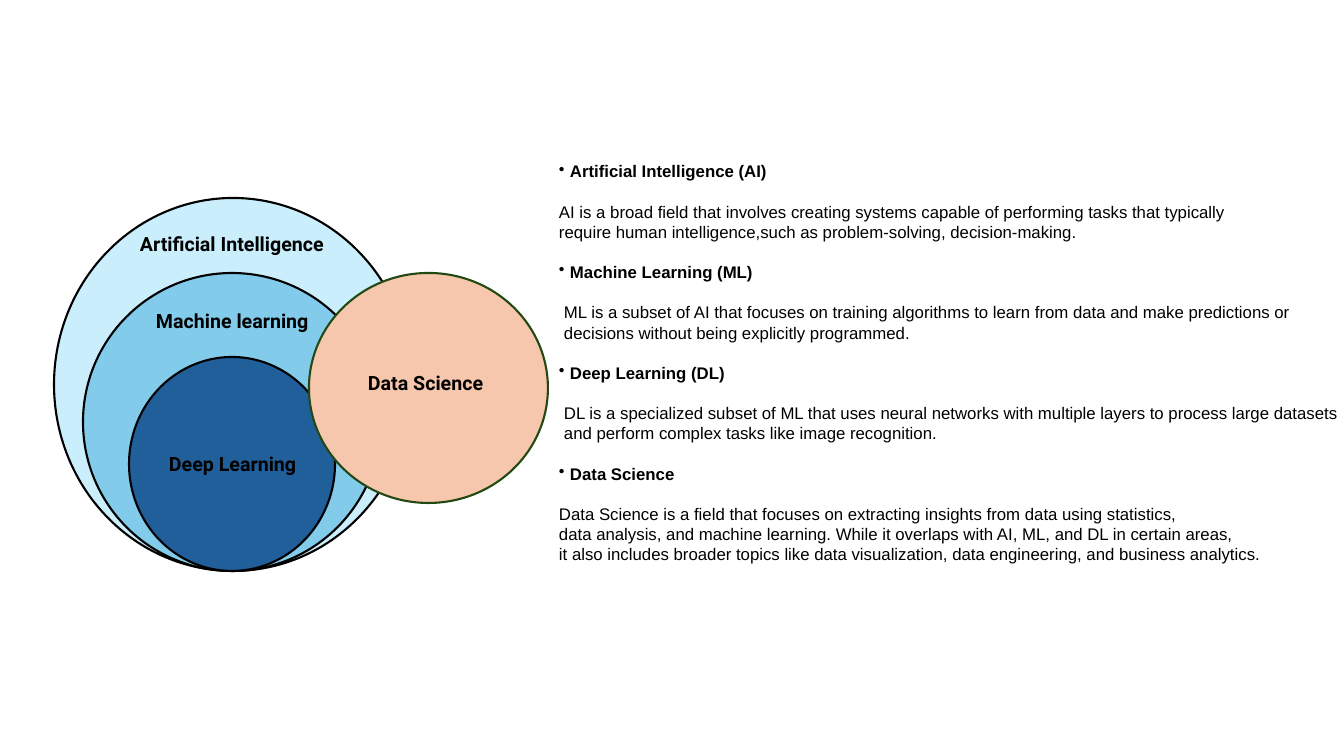
from dataclasses import dataclass

from lxml import etree
from pptx import Presentation, util as u
from pptx.dml.color import RGBColor
from pptx.enum import shapes, text
from pptx.oxml.ns import qn

EMU_PER_PX = 914400 / 100.8


def px(length):
    return u.Emu(round(length * EMU_PER_PX))


@dataclass(frozen=True)
class Theme:
    ink: str = "000000"
    ai: str = "CAEEFB"
    ml: str = "83CBEB"
    dl: str = "215F9A"
    data_science: str = "F6C6AD"
    data_science_edge: str = "224914"
    label_font: str = "Roboto"
    body_font: str = "Arial"
    label_size: float = 14
    body_size: float = 12
    line_pitch: float = 14.4
    outline: float = 1.5


def write(paragraph, content, *, font, size, color, bold=False):
    run = paragraph.add_run()
    run.text = content
    run.font.name = font
    run.font.size = u.Pt(size)
    run.font.bold = bold
    run.font.color.rgb = RGBColor.from_string(color)


def indent(paragraph, left, bullet=None):
    """Indent a paragraph; a bullet hangs in the indent."""
    props = paragraph._p.get_or_add_pPr()
    props.set("marL", str(px(left)))
    props.set("indent", str(-px(left) if bullet else 0))
    if bullet:
        etree.SubElement(props, qn("a:buChar")).set("char", bullet)


class SlideBuilder:
    def __init__(self, slide, theme):
        self.slide = slide
        self.theme = theme

    def circle(self, left, top, width, height, fill, edge):
        oval = self.slide.shapes.add_shape(
            shapes.MSO_SHAPE.OVAL, px(left), px(top), px(width), px(height))
        oval.shadow.inherit = False
        oval.fill.solid()
        oval.fill.fore_color.rgb = RGBColor.from_string(fill)
        oval.line.color.rgb = RGBColor.from_string(edge)
        oval.line.width = u.Pt(self.theme.outline)

    def label(self, content, left, top, width, height):
        frame = self.slide.shapes.add_textbox(
            px(left), px(top), px(width), px(height)).text_frame
        frame.word_wrap = False
        frame.auto_size = text.MSO_AUTO_SIZE.SHAPE_TO_FIT_TEXT
        write(frame.paragraphs[0], content, font=self.theme.label_font,
              size=self.theme.label_size, color=self.theme.ink, bold=True)

    def definitions(self, entries, left, top, width, height):
        """Bulleted terms, each followed by its indented explanation."""
        theme = self.theme
        frame = self.slide.shapes.add_textbox(
            px(left), px(top), px(width), px(height)).text_frame
        frame.word_wrap = True
        frame.margin_left, frame.margin_right = px(10), 0
        frame.margin_top = px(7)
        for entry, (term, body_indent, lines) in enumerate(entries):
            for row, content in enumerate((term, *lines)):
                first = entry == 0 and row == 0
                paragraph = frame.paragraphs[0] if first else frame.add_paragraph()
                paragraph.line_spacing = u.Pt(theme.line_pitch)
                gap = theme.line_pitch if row < 2 and not first else 0
                paragraph.space_before = u.Pt(gap)
                if row == 0:
                    indent(paragraph, 11, bullet="•")
                else:
                    indent(paragraph, body_indent)
                write(paragraph, content, font=theme.body_font,
                      size=theme.body_size, color=theme.ink, bold=row == 0)


DEFINITIONS = [
    ("Artificial Intelligence (AI)", 0, [
        "AI is a broad field that involves creating systems capable of performing tasks that typically",
        "require human intelligence,such as problem-solving, decision-making."]),
    ("Machine Learning (ML)", 5, [
        "ML is a subset of AI that focuses on training algorithms to learn from data and make predictions or",
        "decisions without being explicitly programmed."]),
    ("Deep Learning (DL)", 5, [
        "DL is a specialized subset of ML that uses neural networks with multiple layers to process large datasets",
        "and perform complex tasks like image recognition."]),
    ("Data Science", 0, [
        "Data Science is a field that focuses on extracting insights from data using statistics,",
        "data analysis, and machine learning. While it overlaps with AI, ML, and DL in certain areas,",
        "it also includes broader topics like data visualization, data engineering, and business analytics."]),
]


def main():
    deck = Presentation()
    deck.slide_width, deck.slide_height = px(1344), px(756)
    theme = Theme()
    builder = SlideBuilder(deck.slides.add_slide(deck.slide_layouts[6]), theme)

    nested_bottom = 571
    for left, width, height, fill in [
        (54, 358, 373, theme.ai),
        (83, 298, 298, theme.ml),
        (129, 206, 214, theme.dl),
    ]:
        builder.circle(left, nested_bottom - height, width, height, fill, theme.ink)
    builder.label("Artificial Intelligence", 130, 227, 208, 65)
    builder.label("Machine learning", 146, 304, 175, 34)
    builder.label("Deep Learning", 159, 447, 149, 34)

    builder.circle(309, 273, 239, 230, theme.data_science, theme.data_science_edge)
    builder.label("Data Science", 358, 366, 139, 34)

    builder.definitions(DEFINITIONS, 549, 154, 795, 447)
    deck.save("out.pptx")


if __name__ == "__main__":
    main()
